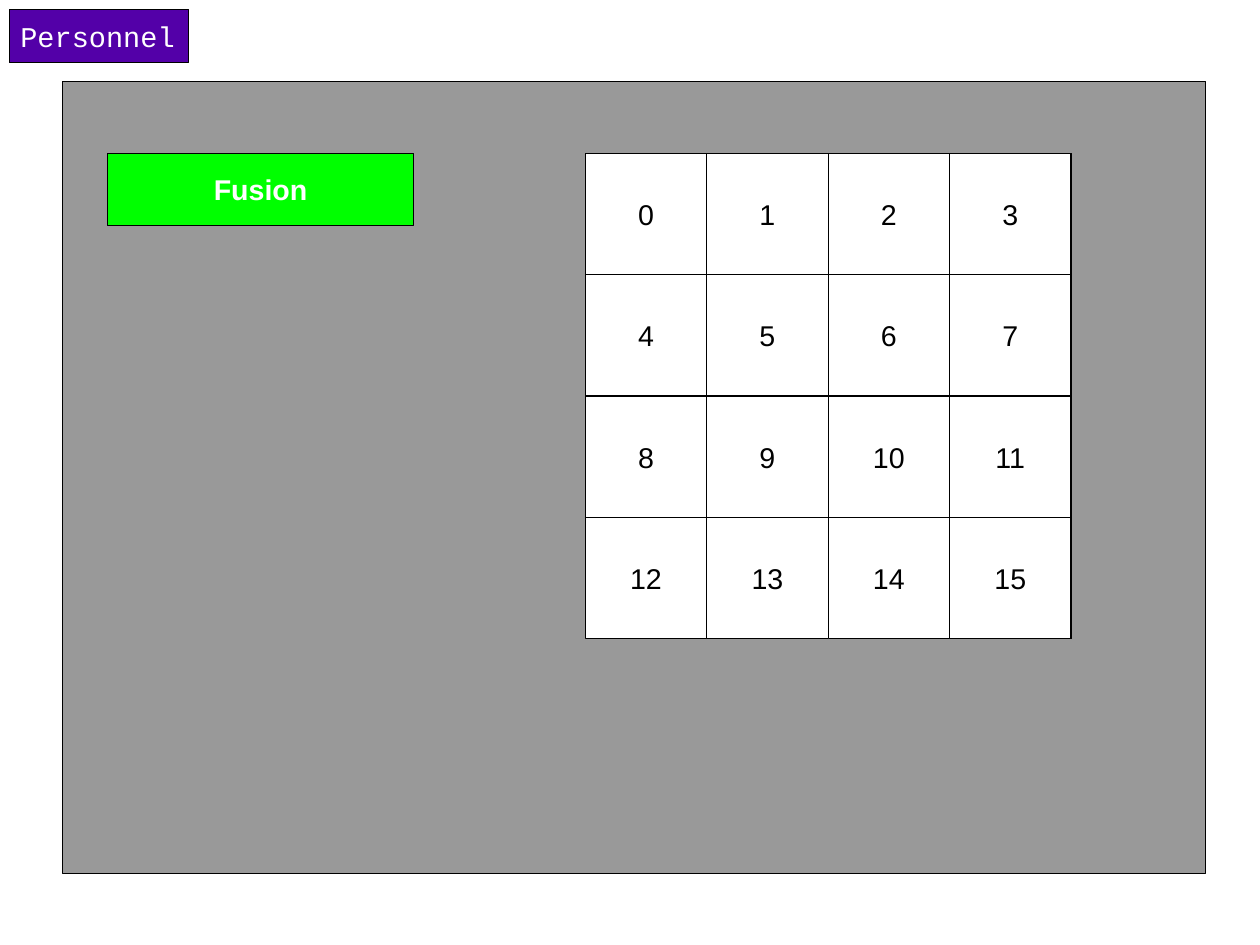
from pptx import Presentation
from pptx import util as u
from pptx.dml.color import RGBColor
from pptx.enum import shapes, text

COLORS = {
    "label": "5300A8",
    "panel": "999999",
    "button": "00FF00",
    "white": "FFFFFF",
    "black": "000000",
}
CM_PER_INCH = 2.54


def add_box(s, left, top, width, height, fill):
    sp = s.shapes.add_shape(
        shapes.MSO_SHAPE.RECTANGLE,
        u.Inches(left), u.Inches(top), u.Inches(width), u.Inches(height),
    )
    sp.shadow.inherit = False
    sp.fill.solid()
    sp.fill.fore_color.rgb = RGBColor.from_string(COLORS[fill])
    sp.line.color.rgb = RGBColor.from_string(COLORS["black"])
    sp.line.width = u.Pt(0)
    return sp


def write(sp, words, color, font="Arial", bold=False, align=text.PP_ALIGN.CENTER):
    tf = sp.text_frame
    tf.text = words
    tf.word_wrap = False
    tf.vertical_anchor = text.MSO_ANCHOR.MIDDLE
    p = tf.paragraphs[0]
    p.alignment = align
    r = p.runs[0]
    r.font.name = font
    r.font.size = u.Pt(18)
    r.font.bold = bold
    r.font.color.rgb = RGBColor.from_string(COLORS[color])


def add_label(s, left, top, width, height):
    sp = add_box(s, left, top, width, height, "label")
    write(sp, "Personnel :", "white", font="Courier New", align=text.PP_ALIGN.LEFT)


def add_number_grid(s, left, top, size, count):
    add_box(s, left, top, size, size, "white")
    cell = size / count
    for number in range(count * count):
        row, col = divmod(number, count)
        sp = add_box(s, left + col * cell, top + row * cell, cell, cell, "white")
        write(sp, str(number), "black")


def add_panel(s, left, top, width, height):
    add_box(s, left, top, width, height, "panel")
    button = add_box(s, left + 0.39, top + 0.63, 2.68, 0.63, "button")
    write(button, "Fusion", "white", bold=True)
    add_number_grid(s, left + 4.57, top + 0.63, 4.25, 4)


def main():
    prs = Presentation()
    prs.slide_width = u.Inches(28 / CM_PER_INCH)
    prs.slide_height = u.Inches(21 / CM_PER_INCH)
    s = prs.slides.add_slide(prs.slide_layouts[6])
    add_label(s, 0.08, 0.08, 1.57, 0.47)
    add_panel(s, 0.55, 0.71, 10, 6.93)
    prs.save("out.pptx")


if __name__ == "__main__":
    main()
